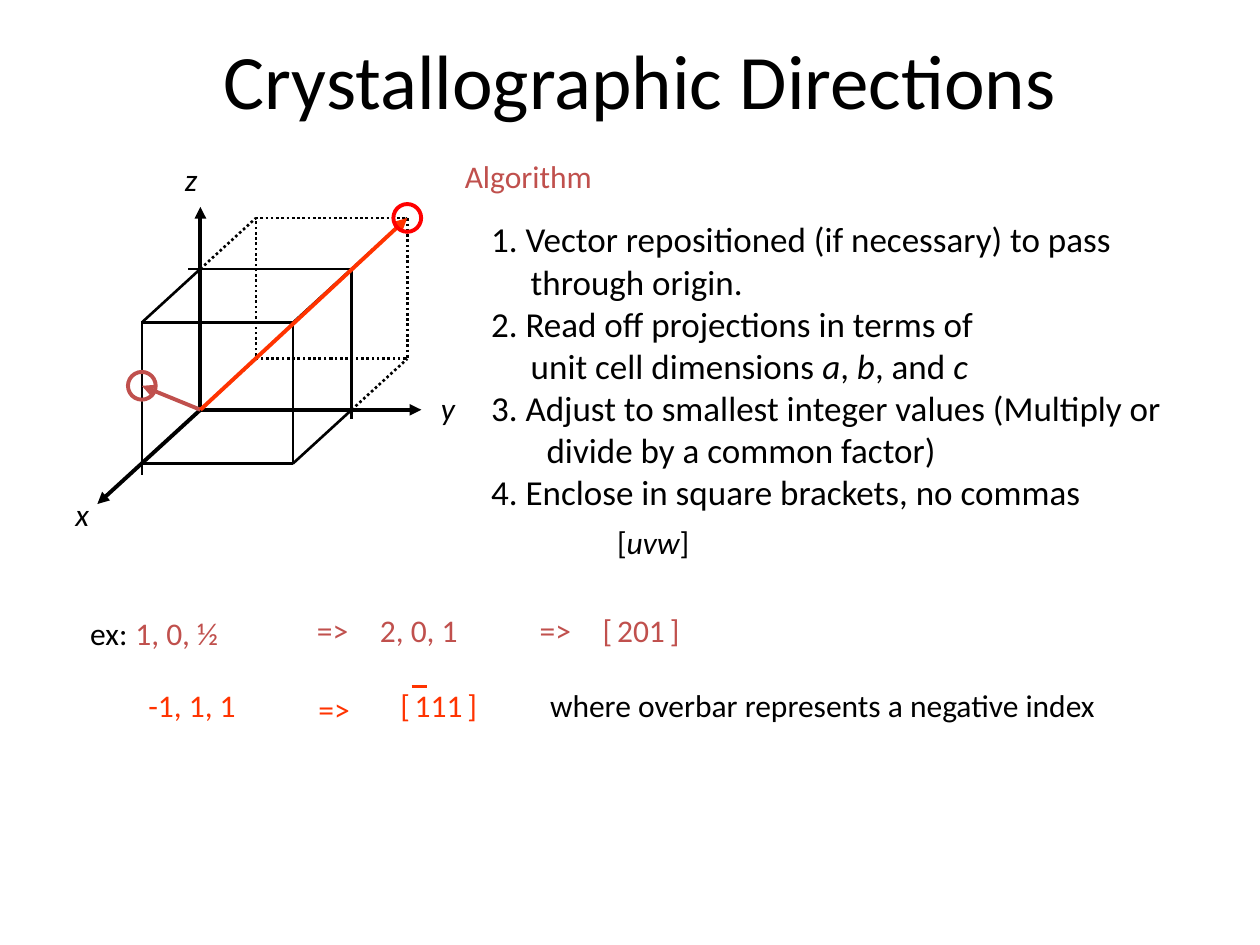
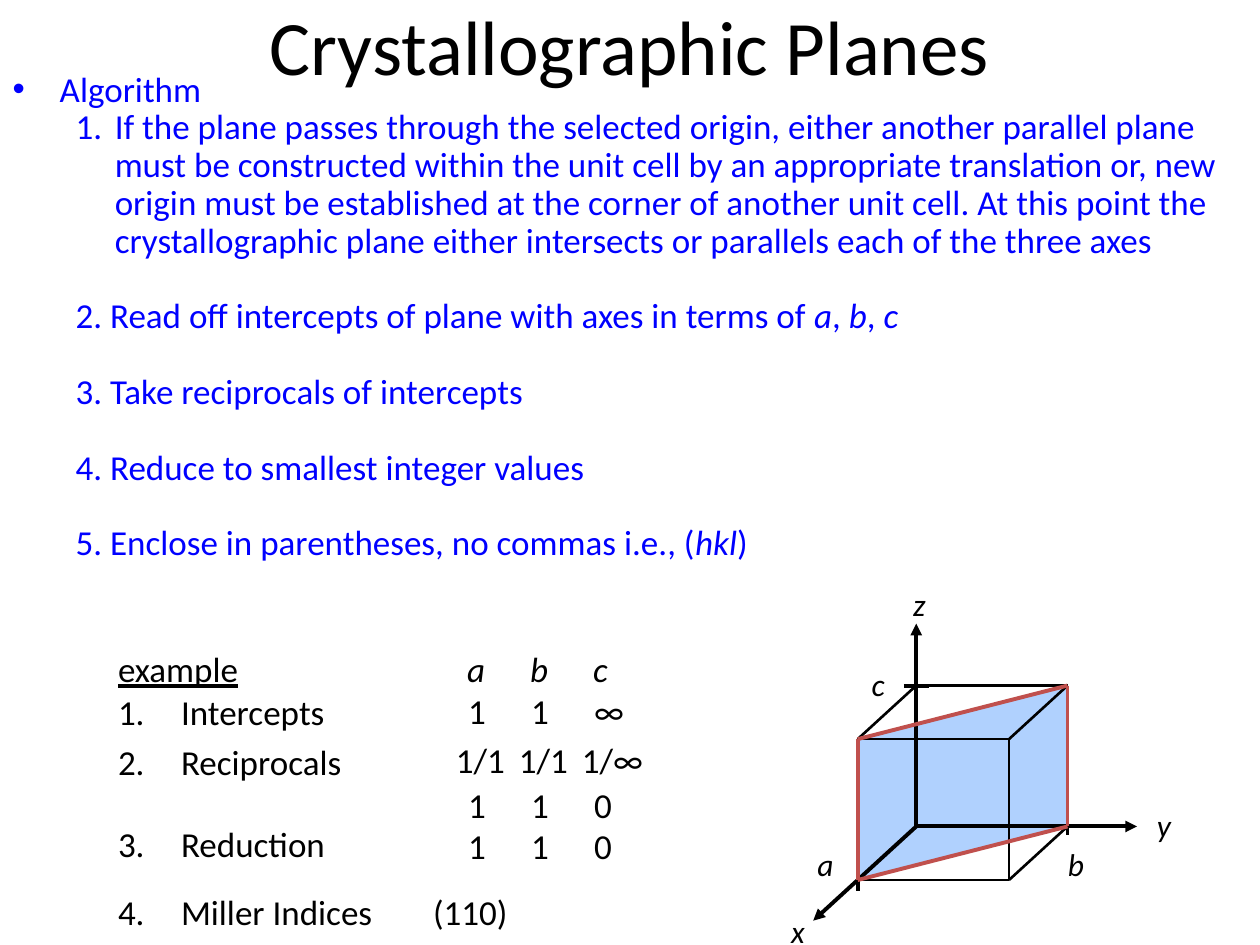
"""Builds two slides on crystal directions and planes."""
from itertools import pairwise

from lxml import etree
from pptx import Presentation
from pptx import util as u
from pptx.dml.color import RGBColor
from pptx.enum import dml, shapes, text
from pptx.oxml.ns import qn

FONT = "Calibri"
BLACK, BLUE, BRICK = "000000", "0000FF", "C0504D"
ORANGE, RED, SKY = "FF3300", "FF0000", "B0D1FE"
ORIGIN = (2.77, 5.16)
CELL = ((-1.18, 1.08), (3.05, 0), (0, -2.84))
BACK = -0.95


def tint(hue):
    """Turn a hex string into a colour."""
    return RGBColor.from_string(hue)


def write(para, words, size=18, hue=BLACK, line=False):
    """Add runs; stars switch italics and newlines break the line."""
    for turn, part in enumerate(words.split("*")):
        for row, piece in enumerate(part.split("\n")):
            if row:
                para.add_line_break()
            if piece:
                run = para.add_run()
                run.text = piece
                font = run.font
                font.name, font.size = FONT, u.Pt(size)
                font.color.rgb = tint(hue)
                font.italic = turn % 2 == 1
                font.underline = line


def indent(para, left=0, hang=0, stops=(), mark=None):
    """Set the indent, bullet and tab stops of a paragraph."""
    props = para._p.get_or_add_pPr()
    props.set("marL", str(u.Cm(left)))
    props.set("indent", str(u.Cm(-hang)))
    if mark:
        etree.SubElement(props, qn("a:buChar")).set("char", mark)
    else:
        etree.SubElement(props, qn("a:buNone"))
    if stops:
        tabs = etree.SubElement(props, qn("a:tabLst"))
        for stop in stops:
            tab = etree.SubElement(tabs, qn("a:tab"))
            tab.set("pos", str(u.Cm(stop)))
            tab.set("algn", "l")


def place(shape, left, top, width, height):
    """Move and size a shape in centimetres."""
    shape.left, shape.top = u.Cm(left), u.Cm(top)
    shape.width, shape.height = u.Cm(width), u.Cm(height)


def note(slide, left, top, width, words="", size=18, hue=BLACK, stops=(), line=False):
    """Add a text box and return its first paragraph."""
    box = slide.shapes.add_textbox(u.Cm(left), u.Cm(top), u.Cm(width), u.Cm(1.1))
    box.text_frame.word_wrap = True
    para = box.text_frame.paragraphs[0]
    indent(para, stops=stops)
    write(para, words, size, hue, line)
    return para


def head(slide, words, left, top):
    """Fill the title placeholder."""
    title = slide.shapes.title
    place(title, left, top, 21.59, 3.18)
    title.text_frame.vertical_anchor = text.MSO_ANCHOR.MIDDLE
    para = title.text_frame.paragraphs[0]
    para.alignment = text.PP_ALIGN.CENTER
    write(para, words, 44)


def stroke(slide, start, end, hue=BLACK, width=1.5, dots=False, arrow=False):
    """Draw a straight line between two points."""
    ends = [u.Cm(value) for value in (*start, *end)]
    link = slide.shapes.add_connector(shapes.MSO_CONNECTOR.STRAIGHT, *ends)
    link.line.color.rgb = tint(hue)
    link.line.width = u.Pt(width)
    if dots:
        link.line.dash_style = dml.MSO_LINE.ROUND_DOT
    props = link._element.spPr
    if arrow:
        etree.SubElement(props.find(qn("a:ln")), qn("a:tailEnd")).set("type", "triangle")
    etree.SubElement(props, qn("a:effectLst"))


def frame(slide, kind, start, end, hue=BLACK, width=1.5, dots=False):
    """Draw an unfilled shape between two corners."""
    (left, top), (right, low) = start, end
    shape = slide.shapes.add_shape(
        kind, u.Cm(left), u.Cm(top), u.Cm(right - left), u.Cm(low - top))
    shape.shadow.inherit = False
    shape.fill.background()
    shape.line.color.rgb = tint(hue)
    shape.line.width = u.Pt(width)
    if dots:
        shape.line.dash_style = dml.MSO_LINE.ROUND_DOT


def ring(slide, spot, hue):
    """Circle a point."""
    x, y = spot
    frame(slide, shapes.MSO_SHAPE.OVAL, (x - 0.28, y - 0.28), (x + 0.28, y + 0.28), hue, 2.25)


def node(box, a, b, c):
    """Map cell steps a, b, c to a point in the box."""
    return tuple(
        box[i] + ORIGIN[i] + sum(step * edge[i] for step, edge in zip((a, b, c), CELL))
        for i in (0, 1))


def nodes(box, names):
    """Map corner names such as 101 to points."""
    return [node(box, *map(int, name)) for name in names.split()]


def edges(slide, box, pairs):
    """Draw cell edges given as pairs of corner names."""
    for pair in pairs:
        stroke(slide, *nodes(box, pair))


def axes(slide, box, rise, tick):
    """Draw the x, y and z axes with labels and ticks."""
    zero = node(box, 0, 0, 0)
    for tip in ((0, 0, 1.44), (0, 1.46, 0), (1.76, 0, 0)):
        stroke(slide, zero, node(box, *tip), width=2.25, arrow=True)
    for name, x, y in (("x", 0, 6.76), ("y", 7.37, 4.62), ("z", *rise)):
        note(slide, box[0] + x, box[1] + y, 0.85, f"*{name}*")
    for spot, dx, dy in zip(nodes(box, "100 010 001"), (0, 0, 0.25), (0.23, 0.18, 0)):
        x, y = spot
        stroke(slide, (x - dx, y - dy), (x + dx, y + dy), width=tick)


def paths(slide, box):
    """Draw the cell, its shifted twin and two directions."""
    axes(slide, box, (2.21, 0), 1.5)
    edges(slide, box, ("001 101", "010 110", "011 111", "010 011", "001 011"))
    square = shapes.MSO_SHAPE.RECTANGLE
    frame(slide, square, *nodes(box, "101 110"))
    frame(slide, square, node(box, BACK, 0, 1), node(box, BACK, 1, 0), dots=True)
    for b, c in ((0, 0), (0, 1), (1, 0), (1, 1)):
        stroke(slide, node(box, 0, b, c), node(box, BACK, b, c), dots=True)
    zero = node(box, 0, 0, 0)
    for tip, hue, rim in (((1, 0, 0.55), BRICK, BRICK), ((BACK, 1, 1), ORANGE, RED)):
        end = node(box, *tip)
        stroke(slide, zero, end, hue, 2.25, arrow=True)
        ring(slide, end, rim)


def plane(slide, box):
    """Draw the cell with the shaded (110) plane."""
    names = "100 101 011 010 100"
    spots = [tuple(map(u.Cm, spot)) for spot in nodes(box, names)]
    pen = slide.shapes.build_freeform(*spots[0], scale=1.0)
    pen.add_line_segments(spots[1:-1], close=True)
    sheet = pen.convert_to_shape()
    sheet.shadow.inherit = False
    sheet.fill.solid()
    sheet.fill.fore_color.rgb = tint(SKY)
    sheet.line.color.rgb = tint(BLACK)
    sheet.line.width = u.Pt(0.25)
    axes(slide, box, (2.46, 0.16), 2.25)
    edges(slide, box, ("001 011", "001 101", "010 110", "100 110",
                       "101 111", "011 111", "110 111"))
    for start, end in pairwise(nodes(box, names)):
        stroke(slide, start, end, BRICK, 2.25)
    for name, x, y in (("a", 0.53, 5.42), ("b", 5.58, 5.42), ("c", 1.62, 1.78)):
        note(slide, box[0] + x, box[1] + y, 0.85, f"*{name}*")


def steps(slide, box):
    """List the steps that find a direction."""
    left, top = box
    note(slide, left, top, 4.1, "Algorithm", hue=BRICK)
    para = note(slide, left + 0.53, top + 1.22, 14.99)
    frame = para._parent
    rows = (
        ("1.\u00a0Vector repositioned (if necessary) to pass through origin.", 0.8),
        ("2.\u00a0Read off projections in terms of\nunit cell dimensions *a*, *b*, and *c*", 0.8),
        ("3.\u00a0Adjust to smallest integer values (Multiply or divide by a common factor)", 1.12),
        ("4.\u00a0Enclose in square brackets, no commas", 0.8),
    )
    for turn, (words, hang) in enumerate(rows):
        if turn:
            para = frame.add_paragraph()
        indent(para, hang, hang)
        write(para, words, 20)
    para = frame.add_paragraph()
    indent(para, 2.54)
    para.space_before = u.Pt(6.5)
    write(para, "[*uvw*]")


def index(para, digits, hue):
    """Write digits in loose square brackets."""
    for words, size in (("[", 18), (" ", 12), (digits, 18), (" ", 12), ("]", 18)):
        write(para, words, size, hue)


def samples(slide, box):
    """Show two worked directions."""
    left, top = box
    para = note(slide, left, top, 4.93, "ex:")
    write(para, " ", 20)
    write(para, "1, 0, ½", hue=BRICK)
    note(slide, left + 4.57, top, 4.5, "=>\t2, 0, 1", hue=BRICK, stops=[1.07])
    para = note(slide, left + 9.06, top, 4.65, "=>\t", hue=BRICK, stops=[0.95])
    index(para, "201", BRICK)
    low = top + 1.52
    note(slide, left + 1.17, low, 3.38, "-1, 1, 1", hue=ORANGE)
    note(slide, left + 4.6, low + 0.08, 1.5, "=>", hue=ORANGE)
    index(note(slide, left + 6.25, low, 2.64), "111", ORANGE)
    bar = low + 0.13
    stroke(slide, (left + 6.73, bar), (left + 7.04, bar), ORANGE)
    note(slide, left + 9.27, low, 13.36, "where overbar represents a negative index")


def rules(slide, box):
    """Fill the body placeholder with the steps for a plane."""
    body = slide.placeholders[1]
    place(body, *box)
    frame = body.text_frame
    frame.auto_size = text.MSO_AUTO_SIZE.NONE
    frame.vertical_anchor = text.MSO_ANCHOR.TOP
    rows = (
        "Algorithm",
        "1.\tIf the plane passes through the selected origin, either another parallel plane "
        "must be constructed within the unit cell by an appropriate translation or, new "
        "origin must be established at the corner of another unit cell. At this point the "
        "crystallographic plane either intersects or parallels each of the three axes",
        "2. Read off intercepts of plane with axes in terms of *a*, *b*, *c*",
        "3. Take reciprocals of intercepts",
        "4.\u00a0Reduce to smallest integer values",
        "5.\u00a0Enclose in parentheses, no commas i.e., (*hkl*)",
    )
    for turn, words in enumerate(rows):
        para = frame.add_paragraph() if turn else frame.paragraphs[0]
        if turn:
            para.level = 1
            indent(para, 2.06, 0.79)
        else:
            indent(para, 0.95, 0.95, mark="•")
        para.line_spacing = 0.9
        para.space_before = u.Pt(21.6 if turn > 1 else 0)
        write(para, words, 20, BLUE)


def example(slide, box):
    """Set out the worked plane in labels and values."""
    left, top = box
    note(slide, left, top, 4.06, "example", 20, line=True)
    labels = (("1.\tIntercepts", 0.86), ("2.\tReciprocals", 1.88),
              ("3.\tReduction", 3.53), ("4.\tMiller Indices\t(110)", 4.9))
    for words, y in labels:
        note(slide, left, top + y, 11.68, words, 20, stops=[1.35, 6.17])
    near, wide = (1.78, 3.41), (1.94, 3.73)
    values = (("*a\tb\tc*", 7.04, 0, near), ("1\t1\t∞", 7.06, 0.84, near),
              ("1/1\t1/1\t1/∞", 6.81, 1.83, wide),
              ("1\t1\t0", 7.06, 2.74, near), ("1\t1\t0", 7.06, 3.56, near))
    for words, x, y, stops in values:
        note(slide, left + x, top + y, 5.7, words, 20, stops=stops)


def main():
    """Build and save the deck."""
    deck = Presentation()
    deck.slide_width, deck.slide_height = u.Cm(25.4), u.Cm(19.05)
    slide = deck.slides.add_slide(deck.slide_layouts[5])
    head(slide, "Crystallographic Directions", 2.11, 0)
    steps(slide, (9.12, 3.05))
    samples(slide, (1.57, 12.19))
    paths(slide, (1.27, 3.1))
    slide = deck.slides.add_slide(deck.slide_layouts[1])
    head(slide, "Crystallographic Planes", 1.9, -0.69)
    rules(slide, (0, 1.32, 25.4, 7.92))
    plane(slide, (15.7, 11.5))
    example(slide, (2.13, 12.93))
    deck.save("out.pptx")


if __name__ == "__main__":
    main()
